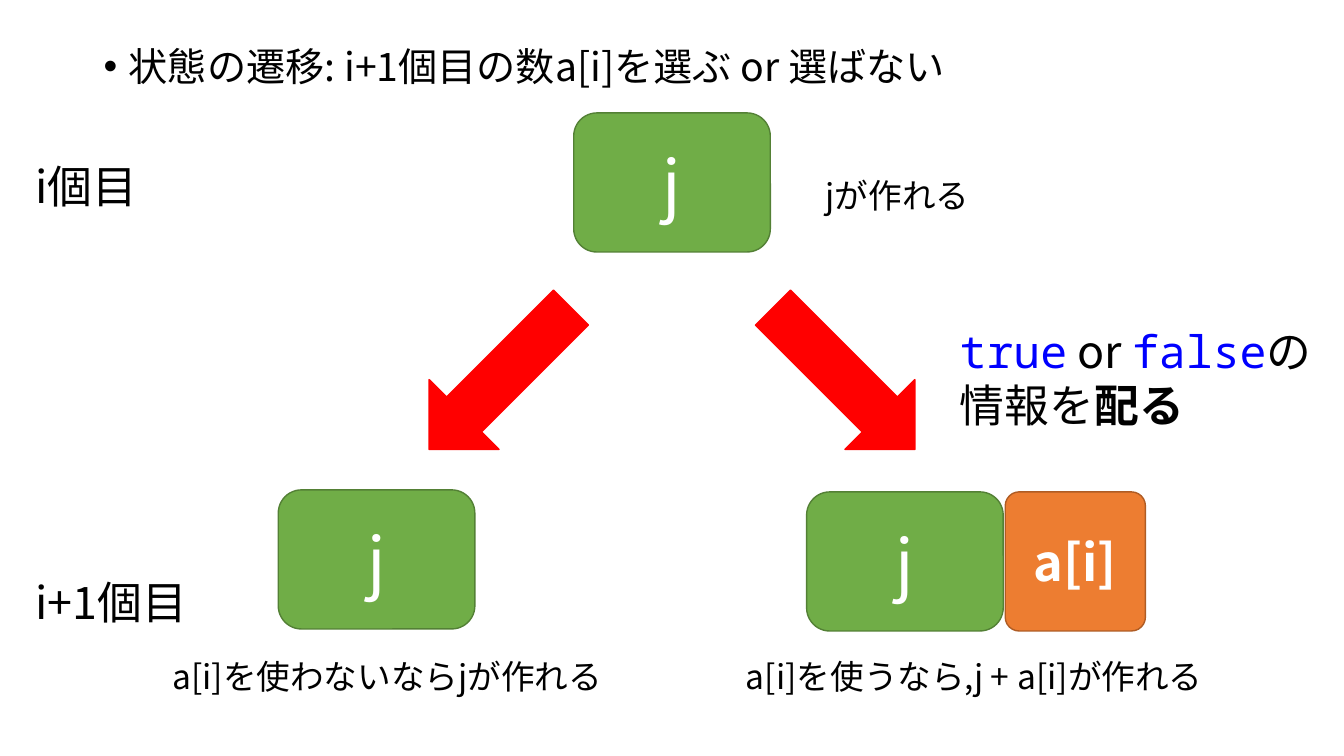
from dataclasses import dataclass

from lxml.etree import SubElement
from pptx import Presentation
from pptx.dml.color import RGBColor
from pptx.enum.shapes import MSO_SHAPE as Shape
from pptx.enum.text import MSO_ANCHOR as Anchor, PP_ALIGN as Align
from pptx.oxml.ns import qn
from pptx.util import Inches, Pt


@dataclass(frozen=True)
class Theme:
    sans: str = "Noto Sans CJK JP"
    mono: str = "Noto Sans Mono"
    black: str = "000000"
    white: str = "FFFFFF"
    blue: str = "0000FF"
    red: str = "FF0000"
    green: str = "70AD47"
    green_edge: str = "538035"
    orange: str = "ED7D31"
    orange_edge: str = "AF5C24"
    caption: int = 24
    bullet: int = 28
    label: int = 32
    item: int = 36
    state: int = 48


THEME = Theme()
STATE_WIDTH, STATE_HEIGHT = 1.95, 1.38


def add_run(para, text, size, color=THEME.black, face=THEME.sans, bold=False):
    run = para.add_run()
    run.text = text
    font = run.font
    font.size, font.name, font.bold = Pt(size), face, bold
    font.color.rgb = RGBColor.from_string(color)
    SubElement(font._element, qn("a:ea")).set("typeface", face)


def add_text_box(page, left, top, width, height):
    box = page.shapes.add_textbox(*map(Inches, (left, top, width, height)))
    box.text_frame.word_wrap = True
    return box.text_frame


def add_label(page, text, size, left, top, width, height):
    frame = add_text_box(page, left, top, width, height)
    add_run(frame.paragraphs[0], text, size)


def add_filled(page, kind, fill, edge, left, top, width, height):
    shape = page.shapes.add_shape(kind, *map(Inches, (left, top, width, height)))
    shape.shadow.inherit = False
    shape.fill.solid()
    shape.fill.fore_color.rgb = RGBColor.from_string(fill)
    shape.line.color.rgb = RGBColor.from_string(edge)
    shape.line.width = Pt(1)
    return shape


def write_centered(shape, text, size, bold=False):
    frame = shape.text_frame
    frame.vertical_anchor = Anchor.MIDDLE
    para = frame.paragraphs[0]
    para.alignment = Align.CENTER
    add_run(para, text, size, THEME.white, bold=bold)


def add_state(page, left, top):
    state = add_filled(page, Shape.ROUNDED_RECTANGLE, THEME.green, THEME.green_edge,
                       left, top, STATE_WIDTH, STATE_HEIGHT)
    write_centered(state, "j", THEME.state)


def add_heading(page, left, top, width, height):
    para = add_text_box(page, left, top, width, height).paragraphs[0]
    para.line_spacing = 0.9
    properties = para._p.get_or_add_pPr()
    properties.set("marL", str(Inches(0.25)))
    properties.set("indent", str(-Inches(0.25)))
    SubElement(properties, qn("a:buFont")).set("typeface", "Arial")
    SubElement(properties, qn("a:buChar")).set("char", "•")
    add_run(para, "状態の遷移: i+1個目の数a[i]を選ぶ or 選ばない", THEME.bullet)


def add_current_row(page, left, top):
    """State reached after i numbers, with its labels."""
    add_label(page, "i個目", THEME.label, left, top + 0.41, 1.36, 0.64)
    add_state(page, left + 5.44, top)
    add_label(page, "jが作れる", THEME.caption, left + 7.84, top + 0.57, 1.75, 0.5)


def add_arrows(page, left, top):
    """Two arrows that spread down from the current state."""
    for offset, angle in ((0, 45), (3.41, 315)):
        arrow = add_filled(page, Shape.DOWN_ARROW, THEME.red, THEME.red,
                           left + offset, top, 0.98, 1.99)
        arrow.rotation = angle


def add_note(page, left, top, width, height):
    frame = add_text_box(page, left, top, width, height)
    first, second = frame.paragraphs[0], frame.add_paragraph()
    add_run(first, "true", THEME.label, THEME.blue, THEME.mono)
    add_run(first, " or ", THEME.label)
    add_run(first, "false", THEME.label, THEME.blue, THEME.mono)
    add_run(first, "の", THEME.label)
    add_run(second, "情報を", THEME.label)
    add_run(second, "配る", THEME.label, bold=True)


def add_next_row(page, left, top):
    """States reached after i+1 numbers: a[i] skipped, then a[i] used."""
    add_label(page, "i+1個目", THEME.label, left, top + 0.79, 1.85, 0.64)
    add_state(page, left + 2.51, top)
    add_label(page, "a[i]を使わないならjが作れる", THEME.caption,
              left + 1.36, top + 1.6, 5.29, 0.5)

    item = add_filled(page, Shape.ROUNDED_RECTANGLE, THEME.orange, THEME.orange_edge,
                      left + 9.72, top + 0.02, 1.39, STATE_HEIGHT)
    item.adjustments[0] = 0.1
    write_centered(item, "a[i]", THEME.item, bold=True)
    add_state(page, left + 7.75, top + 0.02)
    add_label(page, "a[i]を使うなら,j + a[i]が作れる", THEME.caption,
              left + 7.05, top + 1.6, 5.75, 0.5)


def main():
    deck = Presentation()
    deck.slide_width, deck.slide_height = Inches(13.33), Inches(7.5)
    page = deck.slides.add_slide(deck.slide_layouts[6])
    add_heading(page, 0.93, 0.42, 11.5, 0.59)
    add_current_row(page, 0.25, 1.12)
    add_arrows(page, 4.47, 2.76)
    add_note(page, 9.42, 3.16, 4.09, 1.18)
    add_next_row(page, 0.25, 4.86)
    deck.save("out.pptx")


if __name__ == "__main__":
    main()
